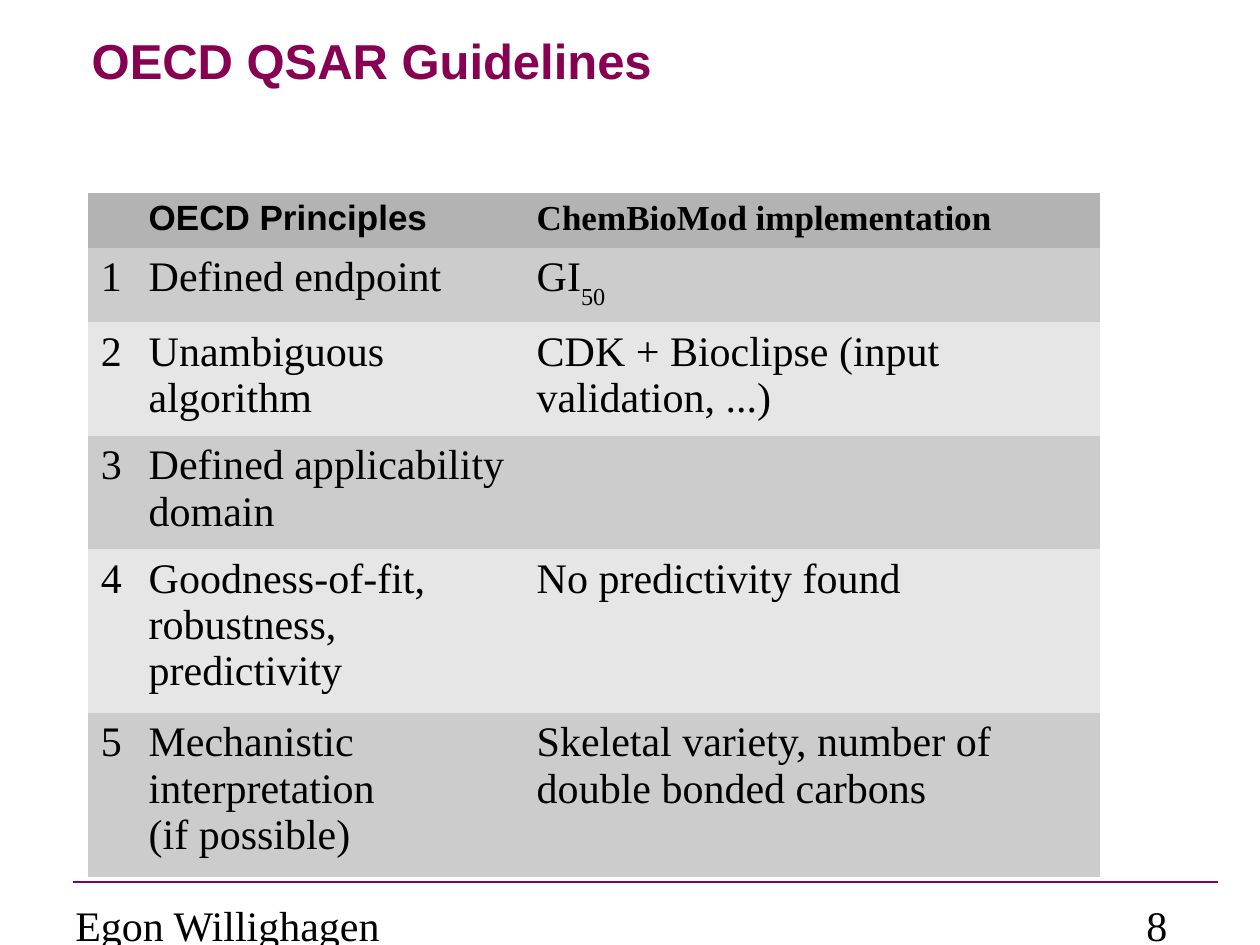
from lxml import etree
from pptx import Presentation
from pptx.dml.color import RGBColor
from pptx.enum.shapes import MSO_CONNECTOR
from pptx.enum.text import MSO_ANCHOR
from pptx.oxml.ns import qn
from pptx.util import Inches, Pt

STRAIGHT = MSO_CONNECTOR.STRAIGHT
TOP, MIDDLE = MSO_ANCHOR.TOP, MSO_ANCHOR.MIDDLE
SANS, SERIF = "Arial", "Times New Roman"
COLORS = {"plum": "870052", "text": "000000", "header": "B3B3B3",
          "odd": "CCCCCC", "even": "E6E6E6"}
NO_STYLE = "{2D5ABB26-0587-4C30-8999-92F81FD0307C}"

TITLE = "OECD QSAR Guidelines"
AUTHOR, PAGE = "Egon Willighagen", "8"
HEADERS = [("", SERIF), ("OECD Principles", SANS),
           ("ChemBioMod implementation", SERIF)]
# (principle paragraphs, implementation, subscript, row height)
PRINCIPLES = [
    (["Defined endpoint"], "GI", "50", 0.59),
    (["Unambiguous algorithm"], "CDK + Bioclipse (input validation, ...)", "", 0.9),
    (["Defined applicability domain"], "", "", 0.9),
    (["Goodness-of-fit, robustness, predictivity"], "No predictivity found", "", 1.3),
    (["Mechanistic interpretation", "(if possible)"],
     "Skeletal variety, number of double bonded carbons", "", 1.3),
]
COLUMNS = [0.38, 3.08, 4.57]
HEADER_HEIGHT = 0.44
TABLE_LEFT, TABLE_TOP = 0.7, 1.53
RULE_LEFT, RULE_RIGHT, RULE_Y = 0.58, 9.67, 7
FOOTER_TOP, FOOTER_HEIGHT = 7.08, 0.51


def rgb(name):
    return RGBColor.from_string(COLORS[name])


def add_run(paragraph, text, size=24, font=SERIF, color="text", bold=False):
    run = paragraph.add_run()
    run.text = text
    run.font.size, run.font.name, run.font.bold = Pt(size), font, bold
    run.font.color.rgb = rgb(color)
    return run


def add_label(slide, box, text, anchor, **style):
    frame = slide.shapes.add_textbox(*map(Inches, box)).text_frame
    frame.word_wrap = True
    frame.vertical_anchor = anchor
    add_run(frame.paragraphs[0], text, **style)


def fill_cell(cell, paragraphs, fill, **style):
    cell.fill.solid()
    cell.fill.fore_color.rgb = rgb(fill)
    frame = cell.text_frame
    for i, text in enumerate(paragraphs):
        paragraph = frame.add_paragraph() if i else frame.paragraphs[0]
        if text:
            add_run(paragraph, text, **style)


def add_principles(slide):
    heights = [HEADER_HEIGHT] + [row[-1] for row in PRINCIPLES]
    table = slide.shapes.add_table(
        len(heights), len(COLUMNS), Inches(TABLE_LEFT), Inches(TABLE_TOP),
        Inches(sum(COLUMNS)), Inches(sum(heights))).table
    table._tbl.tblPr.find(qn("a:tableStyleId")).text = NO_STYLE
    for column, width in zip(table.columns, COLUMNS):
        column.width = Inches(width)
    for row, height in zip(table.rows, heights):
        row.height = Inches(height)

    for c, (header, font) in enumerate(HEADERS):
        fill_cell(table.cell(0, c), [header], "header", size=20, font=font, bold=True)
    for number, (principle, implementation, subscript, _) in enumerate(PRINCIPLES, 1):
        fill = "odd" if number % 2 else "even"
        for c, texts in enumerate([[str(number)], principle, [implementation]]):
            fill_cell(table.cell(number, c), texts, fill)
        if subscript:
            paragraph = table.cell(number, 2).text_frame.paragraphs[0]
            run = add_run(paragraph, subscript)
            run.font._element.set("baseline", "-33000")


def add_rule(slide):
    rule = slide.shapes.add_connector(
        STRAIGHT, Inches(RULE_LEFT), Inches(RULE_Y), Inches(RULE_RIGHT), Inches(RULE_Y))
    rule.line.color.rgb = rgb("plum")
    rule.line.width = Pt(0.75)
    etree.SubElement(rule._element.spPr, qn("a:effectLst"))


def main():
    deck = Presentation()
    deck.slide_width, deck.slide_height = Inches(10), Inches(7.5)
    slide = deck.slides.add_slide(deck.slide_layouts[6])
    add_rule(slide)
    add_label(slide, (0.63, 0.19, 8.5, 1.25), TITLE, TOP,
              size=28, font=SANS, color="plum", bold=True)
    add_principles(slide)
    for left, width, text in [(0.5, 3.17, AUTHOR), (9, 0.75, PAGE)]:
        add_label(slide, (left, FOOTER_TOP, width, FOOTER_HEIGHT), text, MIDDLE)
    deck.save("out.pptx")


if __name__ == "__main__":
    main()
